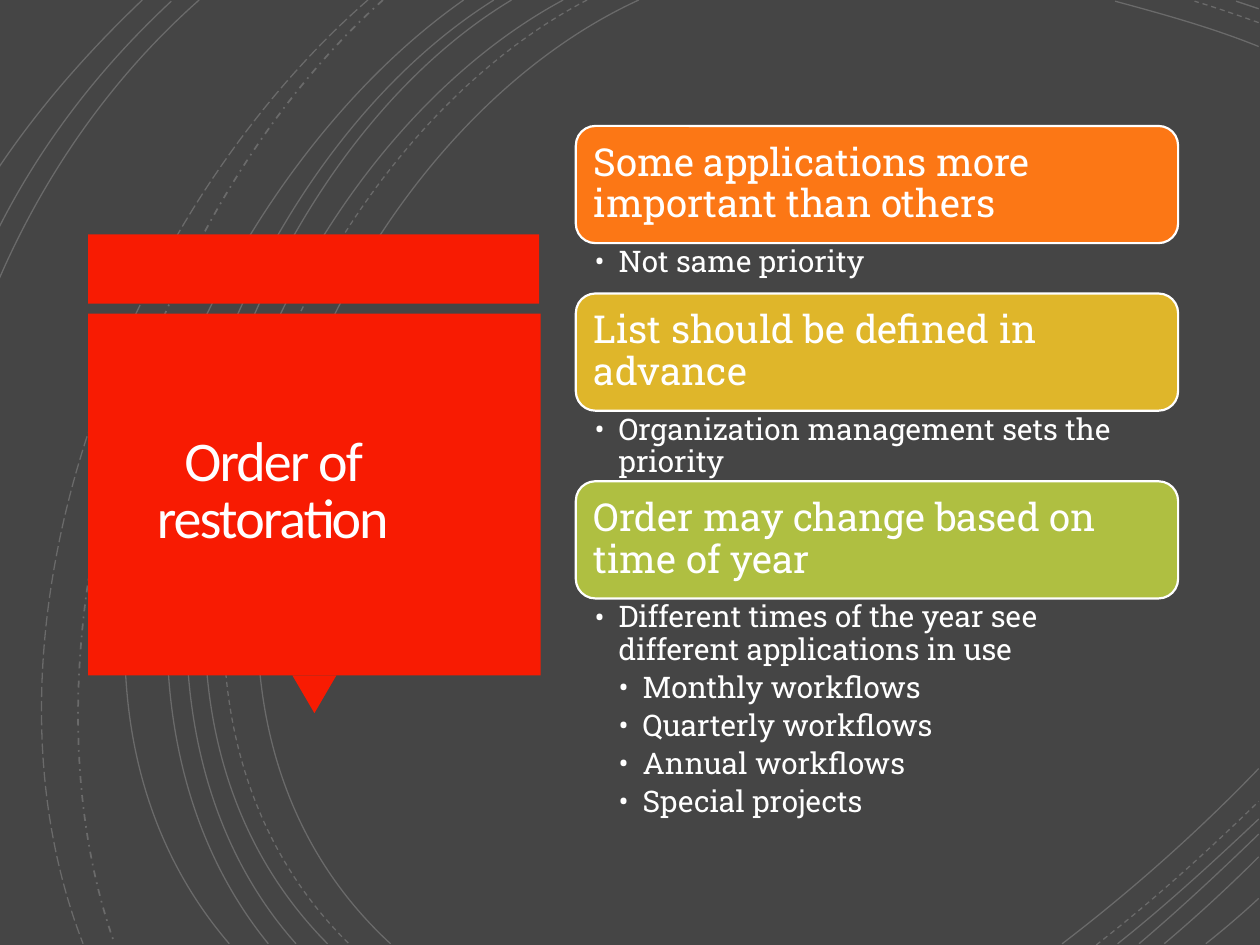
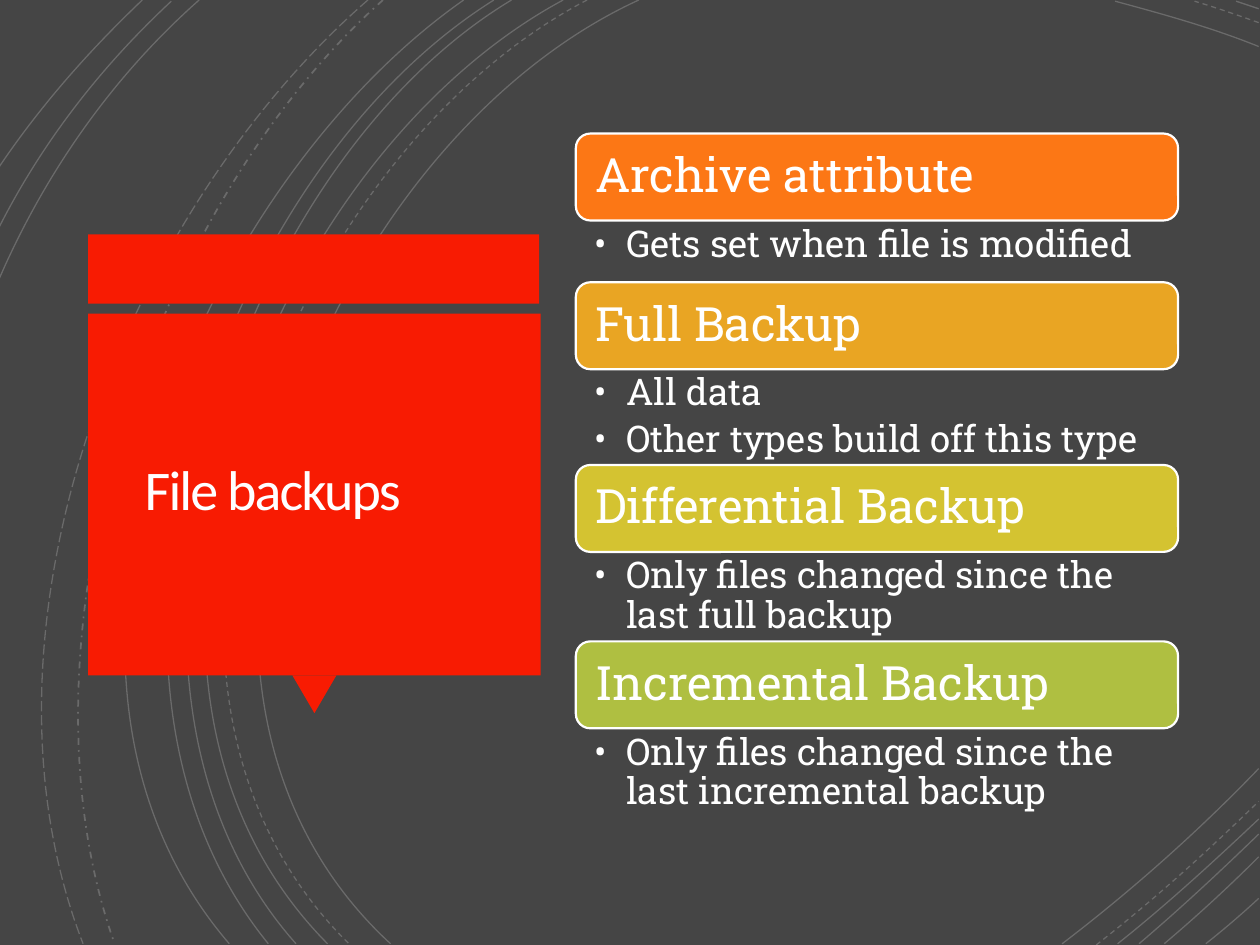
from pptx import Presentation
from pptx import util as u
from pptx.dml.color import RGBColor
from pptx.enum import dml, shapes, text
from pptx.oxml import ns
from lxml import etree

SCALE = 9144

CHARCOAL = RGBColor(0x45, 0x45, 0x45)
WHITE = RGBColor(0xFF, 0xFF, 0xFF)
TITLE_WHITE = RGBColor(0xFF, 0xFE, 0xFF)
RED = RGBColor(0xF8, 0x1B, 0x02)
ORANGE = RGBColor(0xFC, 0x77, 0x15)
AMBER = RGBColor(0xE9, 0xA5, 0x23)
GOLD = RGBColor(0xDF, 0xB6, 0x2A)
YELLOW = RGBColor(0xD4, 0xC3, 0x31)
GREEN = RGBColor(0xAF, 0xBF, 0x41)

BODY_FONT = "Roboto Slab"
TITLE_FONT = "Calibri"

SOLID = dml.MSO_LINE.SOLID
DASH = dml.MSO_LINE.DASH
DASH_DOT = dml.MSO_LINE.DASH_DOT
LONG_DASH = dml.MSO_LINE.LONG_DASH

ARCS = [
    (SOLID, [(507, 0), (256, 115), (83, 540), (310, 749)]),
    (SOLID, [(999, 37), (962, 22), (922, 11), (885, 1)]),
    (SOLID, [(843, 749), (898, 707), (951, 660), (999, 610)]),
    (DASH, [(466, 0), (226, 125), (63, 538), (277, 749)]),
    (DASH, [(999, 18), (982, 12), (965, 6), (948, 1)]),
    (DASH, [(870, 750), (915, 715), (958, 676), (999, 636)]),
    (SOLID, [(447, 0), (211, 127), (50, 537), (260, 749)]),
    (SOLID, [(999, 7), (993, 5), (987, 3), (981, 1)]),
    (SOLID, [(887, 749), (926, 718), (963, 684), (999, 650)]),
    (SOLID, [(406, 0), (185, 133), (50, 541), (235, 749)]),
    (SOLID, [(904, 749), (937, 721), (968, 692), (999, 662)]),
    (SOLID, [(392, 0), (172, 138), (38, 534), (213, 749)]),
    (SOLID, [(924, 749), (950, 727), (975, 704), (999, 680)]),
    (SOLID, [(368, 0), (158, 147), (-7, 529), (182, 749)]),
    (SOLID, [(957, 749), (971, 738), (985, 726), (999, 713)]),
    (DASH_DOT, [(304, 0), (117, 166), (6, 509), (91, 749)]),
    (LONG_DASH, [(292, 0), (98, 169), (-31, 499), (66, 749)]),
    (SOLID, [(158, 0), (88, 62), (35, 139), (-1, 222)]),
    (SOLID, [(136, 1), (79, 54), (33, 114), (-1, 181)]),
    (SOLID, [(113, 0), (71, 40), (32, 84), (-1, 133)]),
]

RESTORATION = [
    ("Some applications more important than others", ORANGE, 40,
     [(1, "Not same priority")]),
    ("List should be defined in advance", GOLD, 56,
     [(1, "Organization management sets the priority")]),
    ("Order may change based on time of year", GREEN, 179,
     [(1, "Different times of the year see different applications in use"),
      (2, "Monthly workflows"), (2, "Quarterly workflows"),
      (2, "Annual workflows"), (2, "Special projects")]),
]

BACKUPS = [
    ("Archive attribute", ORANGE, 49, [(1, "Gets set when file is modified")]),
    ("Full Backup", AMBER, 76,
     [(1, "All data"), (1, "Other types build off this type")]),
    ("Differential Backup", YELLOW, 71,
     [(1, "Only files changed since the last full backup")]),
    ("Incremental Backup", GREEN, 70,
     [(1, "Only files changed since the last incremental backup")]),
]


def px(length):
    return u.Emu(round(length * SCALE))


def set_frame(frame, insets, anchor):
    frame.word_wrap = True
    frame.auto_size = text.MSO_AUTO_SIZE.NONE
    frame.vertical_anchor = anchor
    (frame.margin_left, frame.margin_top,
     frame.margin_right, frame.margin_bottom) = map(px, insets)


def write(paragraph, words, size, font=BODY_FONT, color=WHITE,
          align=text.PP_ALIGN.LEFT, line=0.9, after=0, level=0, indent=0,
          tracking=None):
    if level:
        paragraph.level = level
        properties = paragraph._p.get_or_add_pPr()
        properties.set("marL", str(px(indent * level)))
        properties.set("indent", str(-px(indent)))
        etree.SubElement(properties, ns.qn("a:buFont")).set("typeface", font)
        etree.SubElement(properties, ns.qn("a:buChar")).set("char", "•")
    paragraph.alignment = align
    paragraph.line_spacing = line
    paragraph.space_before = u.Pt(0)
    paragraph.space_after = u.Pt(after * size)
    run = paragraph.add_run()
    run.text = words
    run.font.name = font
    run.font.size = u.Pt(size)
    run.font.color.rgb = color
    if tracking:
        run._r.get_or_add_rPr().set("spc", str(tracking))


class Deck:
    def __init__(self):
        self.presentation = Presentation()
        self.presentation.slide_width = px(1000)
        self.presentation.slide_height = px(750)
        background = self.presentation.slide_master.background.fill
        background.solid()
        background.fore_color.rgb = CHARCOAL
        self.slide = None

    def add_slide(self, title):
        layout = self.presentation.slide_layouts[5]
        self.slide = self.presentation.slides.add_slide(layout)
        for dash, points in ARCS:
            self.arc(points, dash)
        self.block(shapes.MSO_SHAPE.RECTANGLE, (70, 186, 358, 55), RED)
        pointer = self.block(shapes.MSO_SHAPE.ISOSCELES_TRIANGLE,
                             (232, 536, 35, 30), RED)
        pointer.rotation = 180
        self.block(shapes.MSO_SHAPE.RECTANGLE, (70, 249, 359, 287), RED)
        self.title(title)

    def arc(self, points, dash):
        start, *controls = points
        builder = self.slide.shapes.build_freeform(*start, scale=SCALE)
        builder.add_line_segments(controls, close=False)
        shape = builder.convert_to_shape()
        segments = shape.element.findall(".//" + ns.qn("a:lnTo"))
        curve = etree.SubElement(segments[0].getparent(),
                                 ns.qn("a:cubicBezTo"))
        for segment in segments:
            curve.append(segment[0])
            segment.getparent().remove(segment)
        shape.shadow.inherit = False
        shape.fill.background()
        shape.line.color.rgb = WHITE
        shape.line.width = u.Pt(1 if dash == DASH_DOT else 0.75)
        shape.line.dash_style = dash
        color = shape.element.spPr.find(".//" + ns.qn("a:srgbClr"))
        etree.SubElement(color, ns.qn("a:alpha")).set("val", "20000")

    def block(self, kind, box, fill, outline=None):
        shape = self.slide.shapes.add_shape(kind, *map(px, box))
        shape.shadow.inherit = False
        shape.fill.solid()
        shape.fill.fore_color.rgb = fill
        if outline is None:
            shape.line.fill.background()
        else:
            shape.line.color.rgb = outline
            shape.line.width = u.Pt(1.25)
        return shape

    def title(self, words):
        shape = self.slide.shapes.title
        shape.element.getparent().append(shape.element)
        shape.left, shape.top, shape.width, shape.height = map(
            px, (73, 257, 287, 269))
        set_frame(shape.text_frame, (25,) * 4, text.MSO_ANCHOR.MIDDLE)
        write(shape.text_frame.paragraphs[0], words, 32, font=TITLE_FONT,
              color=TITLE_WHITE, align=text.PP_ALIGN.CENTER, line=0.85,
              tracking=-110)

    def header(self, words, box, fill, size, inset):
        shape = self.block(shapes.MSO_SHAPE.ROUNDED_RECTANGLE, box, fill, WHITE)
        set_frame(shape.text_frame, (inset + 1, inset, inset, inset),
                  text.MSO_ANCHOR.MIDDLE)
        write(shape.text_frame.paragraphs[0], words, size, after=0.35)

    def bullets(self, items, box, size, insets, indent):
        frame = self.slide.shapes.add_textbox(*map(px, box)).text_frame
        set_frame(frame, insets, text.MSO_ANCHOR.TOP)
        for index, (level, words) in enumerate(items):
            paragraph = frame.add_paragraph() if index else frame.paragraphs[0]
            write(paragraph, words, size, after=0.2, level=level, indent=indent)

    def sections(self, groups, top, header_height, header_size, header_inset,
                 list_size, list_insets, indent):
        left, width = 457, 478
        for heading, fill, list_height, items in groups:
            self.header(heading, (left, top, width, header_height), fill,
                        header_size, header_inset)
            top += header_height
            self.bullets(items, (left, top, width, list_height), list_size,
                         list_insets, indent)
            top += list_height


def main():
    deck = Deck()
    deck.add_slide("Order of restoration")
    deck.sections(RESTORATION, top=100, header_height=93, header_size=22,
                  header_inset=9, list_size=17, list_insets=(15, 3, 17, 3),
                  indent=19)
    deck.add_slide("File backups")
    deck.sections(BACKUPS, top=106, header_height=69, header_size=27,
                  header_inset=11, list_size=21, list_insets=(15, 4, 21, 4),
                  indent=25)
    deck.presentation.save("out.pptx")


if __name__ == "__main__":
    main()
